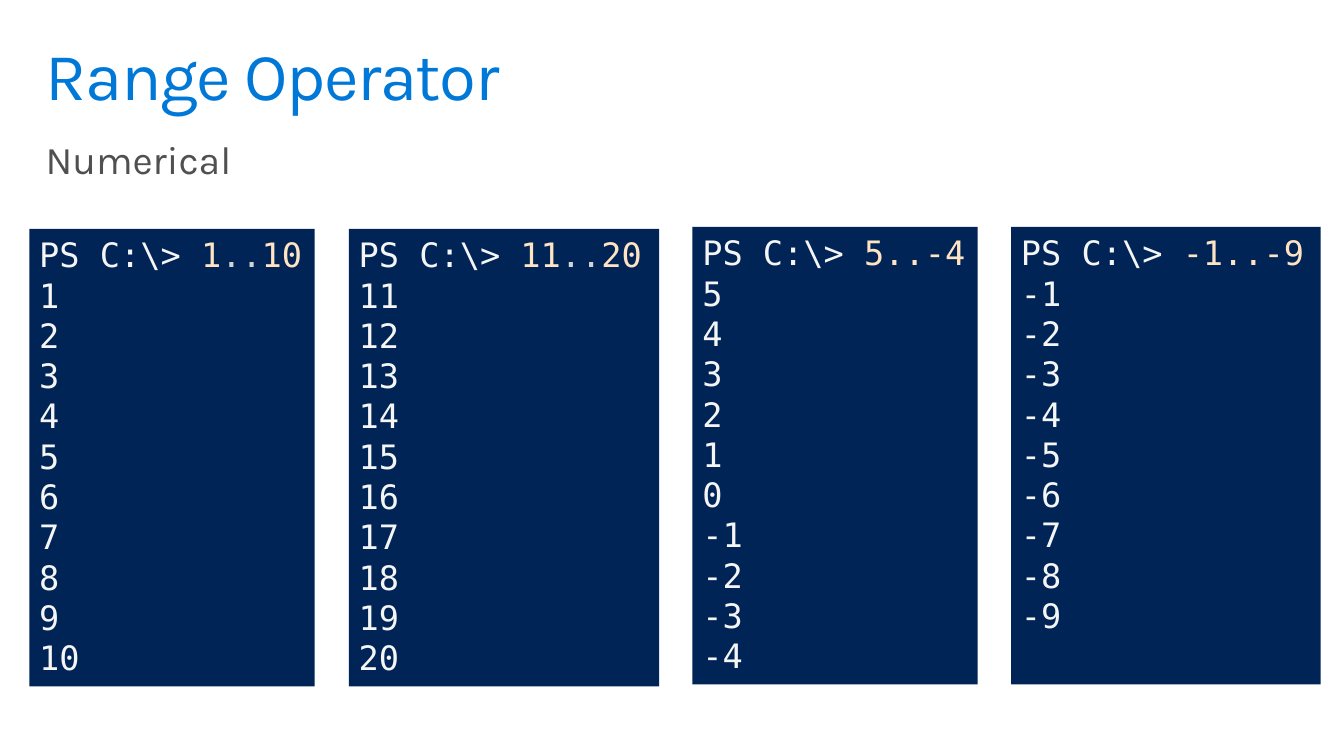
from dataclasses import dataclass

from pptx import Presentation
from pptx.dml.color import RGBColor
from pptx.enum.shapes import MSO_SHAPE
from pptx.enum.text import MSO_ANCHOR, MSO_AUTO_SIZE, PP_ALIGN
from pptx.shapes.autoshape import Shape
from pptx.slide import Slide
from pptx.text.text import TextFrame, _Paragraph as Paragraph
from pptx.util import Cm, Pt

COLORS = {
    "title": "0078D7",
    "subtitle": "505050",
    "console": "012456",
    "output": "F5F5F5",
    "number": "FFE4C4",
    "operator": "D3D3D3",
}
HEADING_FONT = "Karla"
CONSOLE_FONT = "DejaVu Sans Mono"
PROMPT = "PS C:\\> "
CONSOLE_HEIGHT = 11.53


@dataclass(frozen=True)
class Console:
    left: float
    top: float
    width: float
    command: list[tuple[str, str]]
    first: int
    last: int

    def numbers(self) -> range:
        step = 1 if self.last > self.first else -1
        return range(self.first, self.last + step, step)


CONSOLES = [
    Console(0.74, 5.77, 7.19, [("1", "number"), ("..", "operator"), ("10", "number")], 1, 10),
    Console(8.79, 5.77, 7.82, [("11", "number"), ("..", "operator"), ("20", "number")], 11, 20),
    Console(17.45, 5.72, 7.19, [("5..-4", "number")], 5, -4),
    Console(25.48, 5.72, 7.8, [("-1..-9", "number")], -1, -9),
]


def place(shape: Shape, left: float, top: float, width: float, height: float) -> None:
    box = {"left": left, "top": top, "width": width, "height": height}
    for name, value in box.items():
        setattr(shape, name, Cm(value))


def format_frame(frame: TextFrame, side: float, edge: float) -> None:
    settings = {
        "word_wrap": True,
        "auto_size": MSO_AUTO_SIZE.NONE,
        "vertical_anchor": MSO_ANCHOR.TOP,
        "margin_left": Cm(side),
        "margin_right": Cm(side),
        "margin_top": Cm(edge),
        "margin_bottom": Cm(edge),
    }
    for name, value in settings.items():
        setattr(frame, name, value)


def add_text(paragraph: Paragraph, text: str, font: str, size: int, color: str) -> None:
    paragraph.alignment = PP_ALIGN.LEFT
    run = paragraph.add_run()
    run.text = text
    for name, value in {"name": font, "size": Pt(size)}.items():
        setattr(run.font, name, value)
    run.font.color.rgb = RGBColor.from_string(COLORS[color])


def write_heading(shape: Shape, text: str, size: int, color: str) -> None:
    format_frame(shape.text_frame, 0.41, 0.25)
    paragraph = shape.text_frame.paragraphs[0]
    paragraph.line_spacing = 0.9
    add_text(paragraph, text, HEADING_FONT, size, color)


def add_console(slide: Slide, console: Console) -> None:
    shape = slide.shapes.add_shape(MSO_SHAPE.RECTANGLE, 0, 0, 0, 0)
    place(shape, console.left, console.top, console.width, CONSOLE_HEIGHT)
    shape.shadow.inherit = False
    shape.fill.solid()
    shape.fill.fore_color.rgb = RGBColor.from_string(COLORS["console"])
    shape.line.fill.background()
    frame = shape.text_frame
    format_frame(frame, 0.25, 0.13)
    for text, color in [(PROMPT, "output"), *console.command]:
        add_text(frame.paragraphs[0], text, CONSOLE_FONT, 24, color)
    for number in console.numbers():
        add_text(frame.add_paragraph(), str(number), CONSOLE_FONT, 24, "output")


def main() -> None:
    presentation = Presentation()
    presentation.slide_width = Cm(33.87)
    presentation.slide_height = Cm(19.05)
    slide = presentation.slides.add_slide(presentation.slide_layouts[5])

    title = slide.shapes.title
    place(title, 0.74, 0.81, 32.39, 2.49)
    write_heading(title, "Range Operator", 48, "title")
    title.text_frame.paragraphs[0].runs[0].font._element.set("spc", "-100")

    subtitle = slide.shapes.add_textbox(0, 0, 0, 0)
    place(subtitle, 0.74, 3.3, 32.36, 1.5)
    write_heading(subtitle, "Numerical", 28, "subtitle")

    for console in CONSOLES:
        add_console(slide, console)
    presentation.save("out.pptx")


if __name__ == "__main__":
    main()
